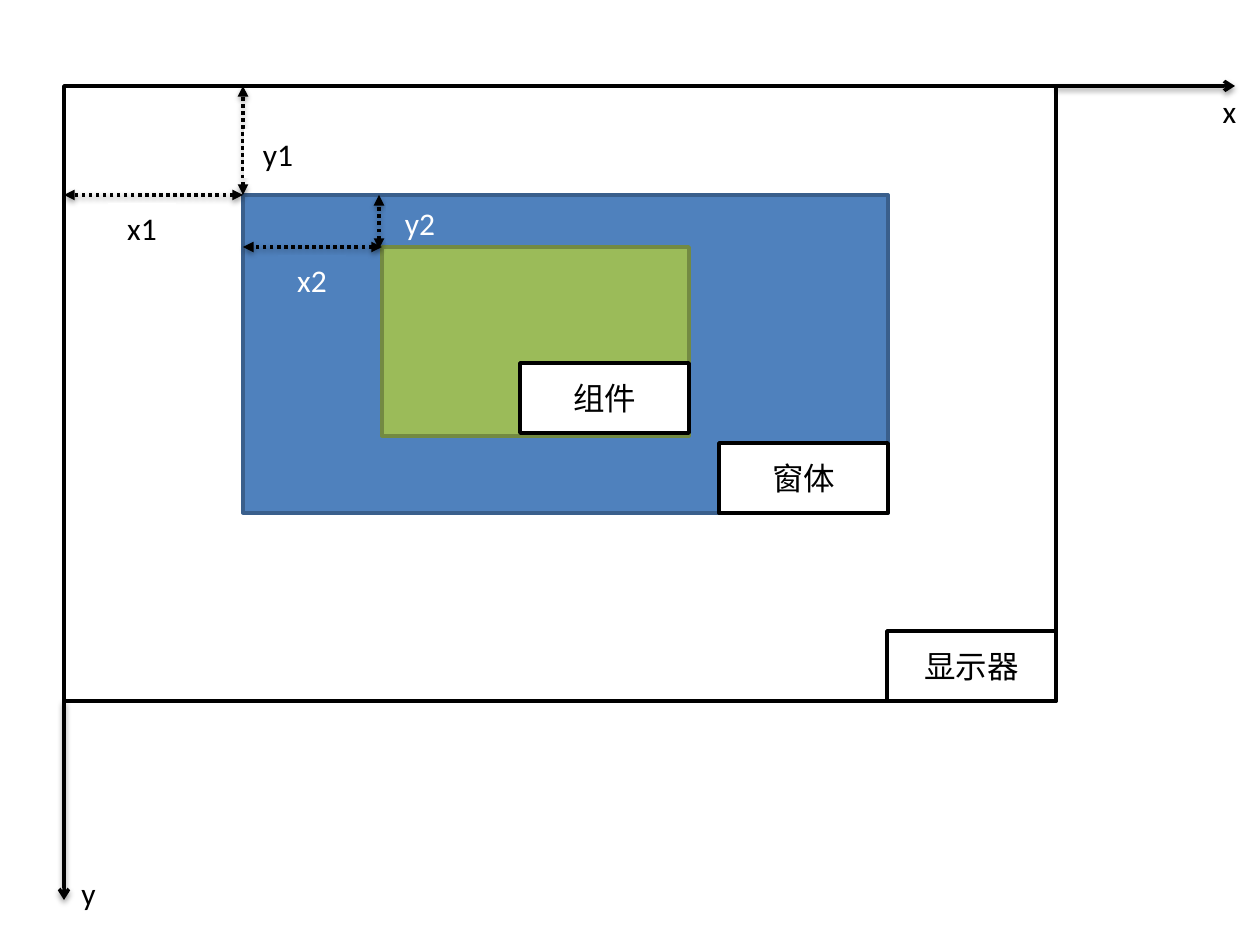
from dataclasses import dataclass

import pptx
import pptx.dml.color
import pptx.enum.dml
import pptx.enum.shapes
import pptx.enum.text
import pptx.oxml
import pptx.oxml.ns
import pptx.util

PX = 914400 / 126  # EMU in one px


@dataclass(frozen=True)
class Theme:
    font: str = "Calibri"
    size: int = 18
    stroke: int = 2
    ink: str = "000000"
    paper: str = "FFFFFF"
    window: str = "4F81BD"
    window_edge: str = "3A5F8C"
    widget: str = "9BBB59"
    widget_edge: str = "738A42"


@dataclass(frozen=True)
class Box:
    x: int
    y: int
    w: int
    h: int

    @property
    def right(self):
        return self.x + self.w

    @property
    def bottom(self):
        return self.y + self.h


THEME = Theme()
TAG_W, TAG_H = 169, 70
LABEL_W, LABEL_H = 68, 49
AXIS_LABEL = 49


def emu(*lengths):
    return [pptx.util.Emu(round(n * PX)) for n in lengths]


def rgb(color):
    return pptx.dml.color.RGBColor.from_string(color)


def write(sp, text, size=THEME.size, color=THEME.ink):
    tf = sp.text_frame
    tf.margin_left = tf.margin_right = tf.margin_top = tf.margin_bottom = 0
    tf.vertical_anchor = pptx.enum.text.MSO_ANCHOR.MIDDLE
    p = tf.paragraphs[0]
    p.alignment = pptx.enum.text.PP_ALIGN.CENTER
    r = p.add_run()
    r.text = text
    r.font.name = THEME.font
    r.font.size = pptx.util.Pt(size)
    r.font.color.rgb = rgb(color)


def add_rect(s, box, fill=THEME.paper, edge=None):
    sp = s.shapes.add_shape(pptx.enum.shapes.MSO_SHAPE.RECTANGLE,
                            *emu(box.x, box.y, box.w, box.h))
    sp.shadow.inherit = False
    sp.fill.solid()
    sp.fill.fore_color.rgb = rgb(fill)
    if edge:
        sp.line.color.rgb = rgb(edge)
        sp.line.width = pptx.util.Pt(THEME.stroke)
    else:
        sp.line.fill.background()
    return sp


def add_arrow(s, start, end, tail="arrow", head=None, dotted=False):
    c = s.shapes.add_connector(pptx.enum.shapes.MSO_CONNECTOR.STRAIGHT,
                               *emu(*start, *end))
    c.line.color.rgb = rgb(THEME.ink)
    c.line.width = pptx.util.Pt(THEME.stroke)
    if dotted:
        c.line.dash_style = pptx.enum.dml.MSO_LINE.ROUND_DOT
    ns = pptx.oxml.ns.nsdecls("a")
    ln = c.line._get_or_add_ln()
    for name, kind in (("headEnd", head), ("tailEnd", tail)):
        if kind:
            ln.append(pptx.oxml.parse_xml(f'<a:{name} {ns} type="{kind}"/>'))
    c._element.spPr.append(pptx.oxml.parse_xml(
        f'<a:effectLst {ns}><a:outerShdw blurRad="40000" dist="20000" '
        f'dir="5400000" rotWithShape="0"><a:srgbClr val="{THEME.ink}">'
        '<a:alpha val="38000"/></a:srgbClr></a:outerShdw></a:effectLst>'))


def add_layer(s, box, name, fill, edge, tag_lift=0):
    """Area with its name tag in the lower right corner."""
    add_rect(s, box, fill, edge)
    tag = Box(box.right - TAG_W, box.bottom - TAG_H - tag_lift, TAG_W, TAG_H)
    write(add_rect(s, tag, edge=THEME.ink), name)


def add_axis_labels(s, box):
    for text, x, y in (("x", box.right - 30, box.y),
                       ("y", box.x, box.bottom - 32)):
        write(add_rect(s, Box(x, y, AXIS_LABEL, AXIS_LABEL)), text)


def add_axes(s, box, screen):
    """Axes that run on from the screen to the far edges of the box."""
    add_arrow(s, (screen.right, box.y), (box.right, box.y))
    add_arrow(s, (box.x, screen.bottom), (box.x, box.bottom))


def add_offsets(s, outer, inner, labels, y_shift=(0, 0)):
    """Dotted distances from the outer edges to the inner corner."""
    corner = (inner.x, inner.y)
    above = (inner.x + y_shift[0], inner.y + y_shift[1])
    for start, end in ((corner, (outer.x, inner.y)),
                       (above, (above[0], outer.y))):
        add_arrow(s, start, end, "triangle", "triangle", dotted=True)
    for text, dx, dy, h, fill, color in labels:
        label = Box(inner.x + dx, inner.y + dy, LABEL_W, h)
        write(add_rect(s, label, fill), text, color=color)


def coordinates_slide(s):
    axes = Box(64, 86, 1171, 814)
    screen = Box(64, 86, 992, 615)
    window = Box(243, 195, 645, 318)
    widget = Box(382, 247, 307, 189)
    on_screen = (THEME.paper, THEME.ink)
    on_window = (THEME.window, THEME.paper)

    add_axis_labels(s, axes)
    add_layer(s, screen, "显示器", THEME.paper, THEME.ink)
    add_layer(s, window, "窗体", THEME.window, THEME.window_edge)
    add_axes(s, axes, screen)
    add_offsets(s, screen, window, (("y1", 1, -66, LABEL_H, *on_screen),
                                    ("x1", -135, 8, LABEL_H, *on_screen)))
    add_layer(s, widget, "组件", THEME.widget, THEME.widget_edge, tag_lift=3)
    add_offsets(s, window, widget, (("x2", -104, 8, LABEL_H, *on_window),
                                    ("y2", 4, -44, 40, *on_window)),
                y_shift=(-3, 2))


def main():
    prs = pptx.Presentation()
    prs.slide_width, prs.slide_height = emu(1260, 945)
    coordinates_slide(prs.slides.add_slide(prs.slide_layouts[6]))
    prs.save("out.pptx")


if __name__ == "__main__":
    main()
